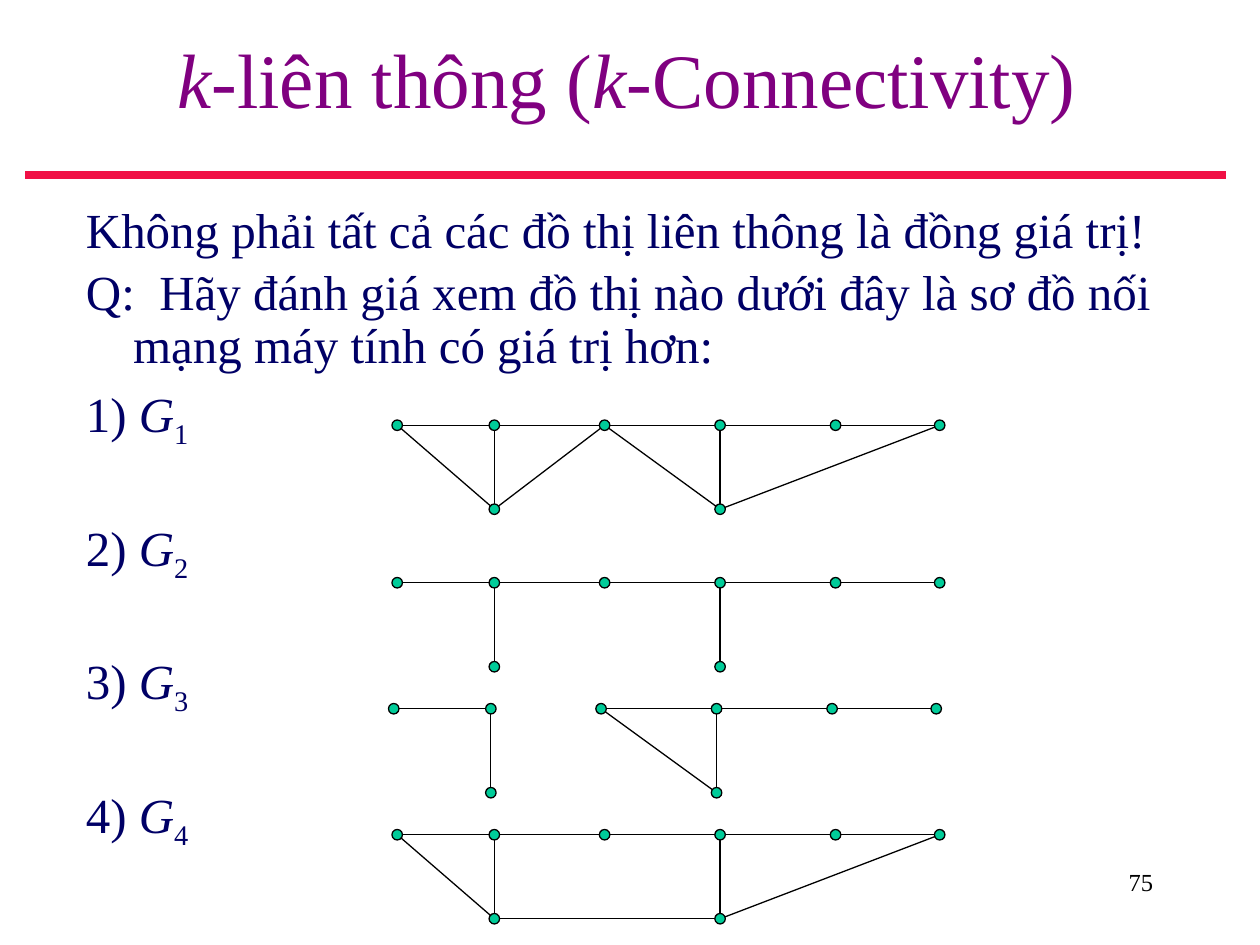
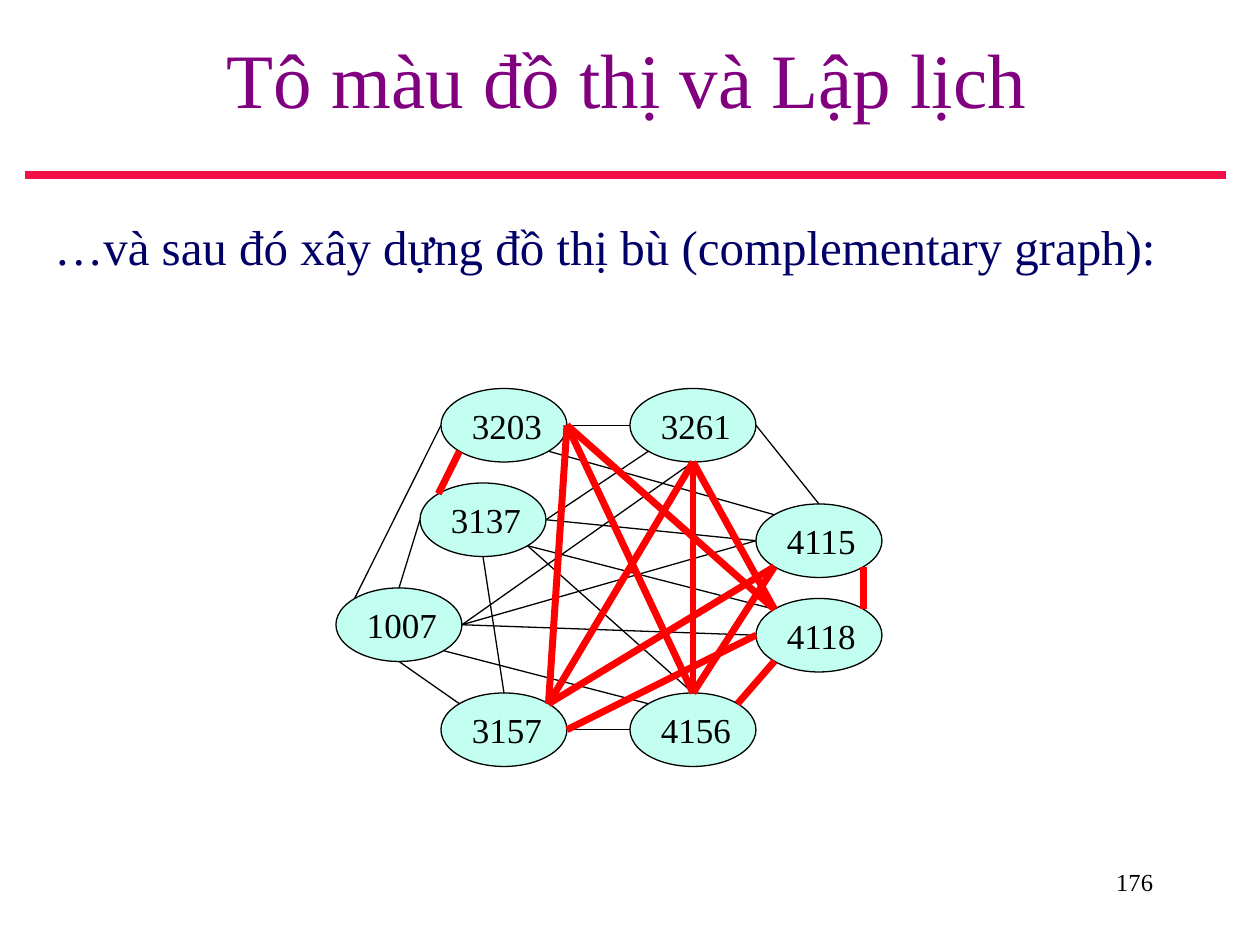
from math import hypot

from lxml.etree import SubElement
from pptx import Presentation
from pptx.dml.color import RGBColor
from pptx.enum.shapes import MSO_CONNECTOR, MSO_SHAPE
from pptx.enum.text import MSO_ANCHOR, PP_ALIGN
from pptx.oxml.ns import qn
from pptx.util import Pt

FONT = "Times New Roman"
BLACK = RGBColor(0x00, 0x00, 0x00)
PURPLE = RGBColor(0x80, 0x00, 0x80)
NAVY = RGBColor(0x00, 0x00, 0x66)
CRIMSON = RGBColor(0xF0, 0x10, 0x45)
RED = RGBColor(0xFF, 0x00, 0x00)
GREEN = RGBColor(0x00, 0xCC, 0x99)
MINT = RGBColor(0xC2, 0xFF, 0xF0)

# Boxes: left, top, width, height in points
TITLE_BOX = (14.4, 0, 687.6, 88.6)
NUMBER_BOX = (516, 492, 150, 36)
RULE_LEFT, RULE_RIGHT, RULE_Y = 14.4, 700.6, 100
BODY_INDENT = 27
SPACE_BEFORE = 5.6

# Small graphs: six vertices a-f in a row, p below b and q below d
DOT = 6
VERTICES = {"a": (0, 0), "b": (55.5, 0), "c": (118.5, 0), "d": (184.5, 0),
            "e": (250.5, 0), "f": (310, 0), "p": (55.5, 48), "q": (184.5, 48)}
GRAPHS = [  # centre of vertex a, missing edges are simply not listed
    ((227, 243), "ab bc cd de ef bp dq ap pc cq qf"),
    ((227, 333), "ab bc cd de ef bp dq"),
    ((225, 405), "ab cd de ef bp dq cq"),
    ((227, 477), "ab bc cd de ef bp dq ap pq qf"),
]

# Course graph: offsets of the ovals from the graph's top left corner
OVAL_W, OVAL_H = 72, 42
COURSES = {"1007": (0, 114), "3137": (48, 54), "3157": (60, 174),
           "3203": (60, 0), "4115": (240, 66), "3261": (168, 0),
           "4156": (168, 174), "4118": (240, 120)}
DIAGONAL = 0.707
SITES = {"N": (0, -1), "S": (0, 1), "W": (-1, 0), "E": (1, 0),
         "NW": (-DIAGONAL, -DIAGONAL), "NE": (DIAGONAL, -DIAGONAL),
         "SW": (-DIAGONAL, DIAGONAL), "SE": (DIAGONAL, DIAGONAL)}
CONFLICTS = [
    "1007 N 3137 W", "3157 NW 1007 S", "1007 NW 3203 W", "1007 E 3261 S",
    "3137 E 3261 SW", "3203 E 3261 W", "3157 N 3137 S", "4156 W 3157 E",
    "4156 NW 1007 SE", "4156 N 3137 SE", "3261 E 4115 N", "3203 SE 4115 NW",
    "3137 E 4115 W", "1007 E 4115 W", "3137 SE 4118 NW", "1007 E 4118 W",
]
COMPLEMENT = [
    "3137 NW 3203 SW", "3157 NE 3203 E", "4156 N 3203 E", "4118 W 3157 E",
    "4115 SW 3157 NE", "3261 S 3157 NE", "4118 SW 4156 NE", "4118 NW 3261 S",
    "4118 NW 3203 E", "4118 NE 4115 SE", "3261 S 4156 N", "4156 N 4115 SW",
]


def add_line(slide, start, end, color=BLACK, width=0.75):
    line = slide.shapes.add_connector(
        MSO_CONNECTOR.STRAIGHT, *[Pt(v) for v in (*start, *end)])
    line.line.color.rgb = color
    line.line.width = Pt(width)
    SubElement(line._element.spPr, qn("a:effectLst"))


def add_oval(slide, box, fill):
    oval = slide.shapes.add_shape(MSO_SHAPE.OVAL, *[Pt(v) for v in box])
    oval.shadow.inherit = False
    oval.fill.solid()
    oval.fill.fore_color.rgb = fill
    oval.line.color.rgb = BLACK
    oval.line.width = Pt(0.75)
    return oval


def set_font(paragraph, size, color):
    paragraph.font.name = FONT
    paragraph.font.size = Pt(size)
    paragraph.font.color.rgb = color


def add_runs(paragraph, runs):
    """Each run is (text, style): "i" is italic, "sub" is subscript."""
    for text, style in runs:
        run = paragraph.add_run()
        run.text = text
        if style == "i":
            run.font.italic = True
        elif style == "sub":
            run.font._element.set("baseline", "-25000")


def add_text_frame(slide, box):
    frame = slide.shapes.add_textbox(*[Pt(v) for v in box]).text_frame
    frame.word_wrap = True
    return frame


def add_frame(slide, title_runs, number):
    """Title, rule and slide number shared by all slides."""
    add_line(slide, (RULE_LEFT, RULE_Y), (RULE_RIGHT, RULE_Y), CRIMSON, 4.5)

    title_frame = add_text_frame(slide, TITLE_BOX)
    title_frame.vertical_anchor = MSO_ANCHOR.MIDDLE
    title = title_frame.paragraphs[0]
    title.alignment = PP_ALIGN.CENTER
    set_font(title, 44, PURPLE)
    add_runs(title, title_runs)

    page = add_text_frame(slide, NUMBER_BOX).paragraphs[0]
    page.text = number
    page.alignment = PP_ALIGN.RIGHT
    set_font(page, 14, BLACK)


def add_body(slide, box, items, line_spacing=1.0):
    """Hanging paragraphs; each item is (runs, space before)."""
    frame = add_text_frame(slide, box)
    for index, (runs, space) in enumerate(items):
        paragraph = frame.add_paragraph() if index else frame.paragraphs[0]
        paragraph.line_spacing = line_spacing
        paragraph.space_before = Pt(space)
        properties = paragraph._p.get_or_add_pPr()
        properties.set("marL", str(Pt(BODY_INDENT)))
        properties.set("indent", str(-Pt(BODY_INDENT)))
        set_font(paragraph, 28, NAVY)
        add_runs(paragraph, runs)


def add_small_graph(slide, origin, edges):
    left, top = origin
    centres = {name: (left + x, top + y) for name, (x, y) in VERTICES.items()}
    # Edges run from rim to rim of the dots
    for first, second in edges.split():
        (x1, y1), (x2, y2) = centres[first], centres[second]
        trim = DOT / 2 / hypot(x2 - x1, y2 - y1)
        dx, dy = (x2 - x1) * trim, (y2 - y1) * trim
        add_line(slide, (x1 + dx, y1 + dy), (x2 - dx, y2 - dy))
    for x, y in centres.values():
        add_oval(slide, (x - DOT / 2, y - DOT / 2, DOT, DOT), GREEN)


def add_course_graph(slide, left, top):
    for course, (x, y) in COURSES.items():
        oval = add_oval(slide, (left + x, top + y, OVAL_W, OVAL_H), MINT)
        oval.text_frame.word_wrap = False
        oval.text_frame.vertical_anchor = MSO_ANCHOR.MIDDLE
        label = oval.text_frame.paragraphs[0]
        label.text = course
        label.alignment = PP_ALIGN.LEFT
        set_font(label, 20, BLACK)

    def rim_point(course, site):
        (x, y), (dx, dy) = COURSES[course], SITES[site]
        return (left + x + OVAL_W / 2 * (1 + dx),
                top + y + OVAL_H / 2 * (1 + dy))

    for edges, color, width in ((CONFLICTS, BLACK, 0.75), (COMPLEMENT, RED, 4)):
        for edge in edges:
            first, first_site, second, second_site = edge.split()
            add_line(slide, rim_point(first, first_site),
                     rim_point(second, second_site), color, width)


def build_connectivity_slide(slide):
    add_frame(slide, [("k", "i"), ("-liên thông (", ""), ("k", "i"),
                      ("-Connectivity)", "")], "75")
    statements = [
        "Không phải tất cả các đồ thị liên thông là đồng giá trị!",
        "Q:  Hãy đánh giá xem đồ thị nào dưới đây là sơ đồ nối "
        "mạng máy tính có giá trị hơn:",
    ]
    items = [([(text, "")], SPACE_BEFORE) for text in statements]
    for n in range(1, len(GRAPHS) + 1):
        runs = [(f"{n}) ", ""), ("G", "i"), (str(n), "sub")]
        items.append((runs, SPACE_BEFORE if n == 1 else 42))
    add_body(slide, (42, 114, 636, 363), items, line_spacing=0.9)
    for origin, edges in GRAPHS:
        add_small_graph(slide, origin, edges)


def build_scheduling_slide(slide):
    add_frame(slide, [("Tô màu đồ thị và Lập lịch", "")], "176")
    sentence = "…và sau đó xây dựng đồ thị bù (complementary graph):"
    add_body(slide, (24, 120, 675, 384), [([(sentence, "")], SPACE_BEFORE)])
    add_course_graph(slide, 192, 222)


def main():
    deck = Presentation()
    deck.slide_width, deck.slide_height = Pt(720), Pt(540)
    blank = deck.slide_layouts[6]
    for build in (build_connectivity_slide, build_scheduling_slide):
        build(deck.slides.add_slide(blank))
    deck.save("out.pptx")


if __name__ == "__main__":
    main()
